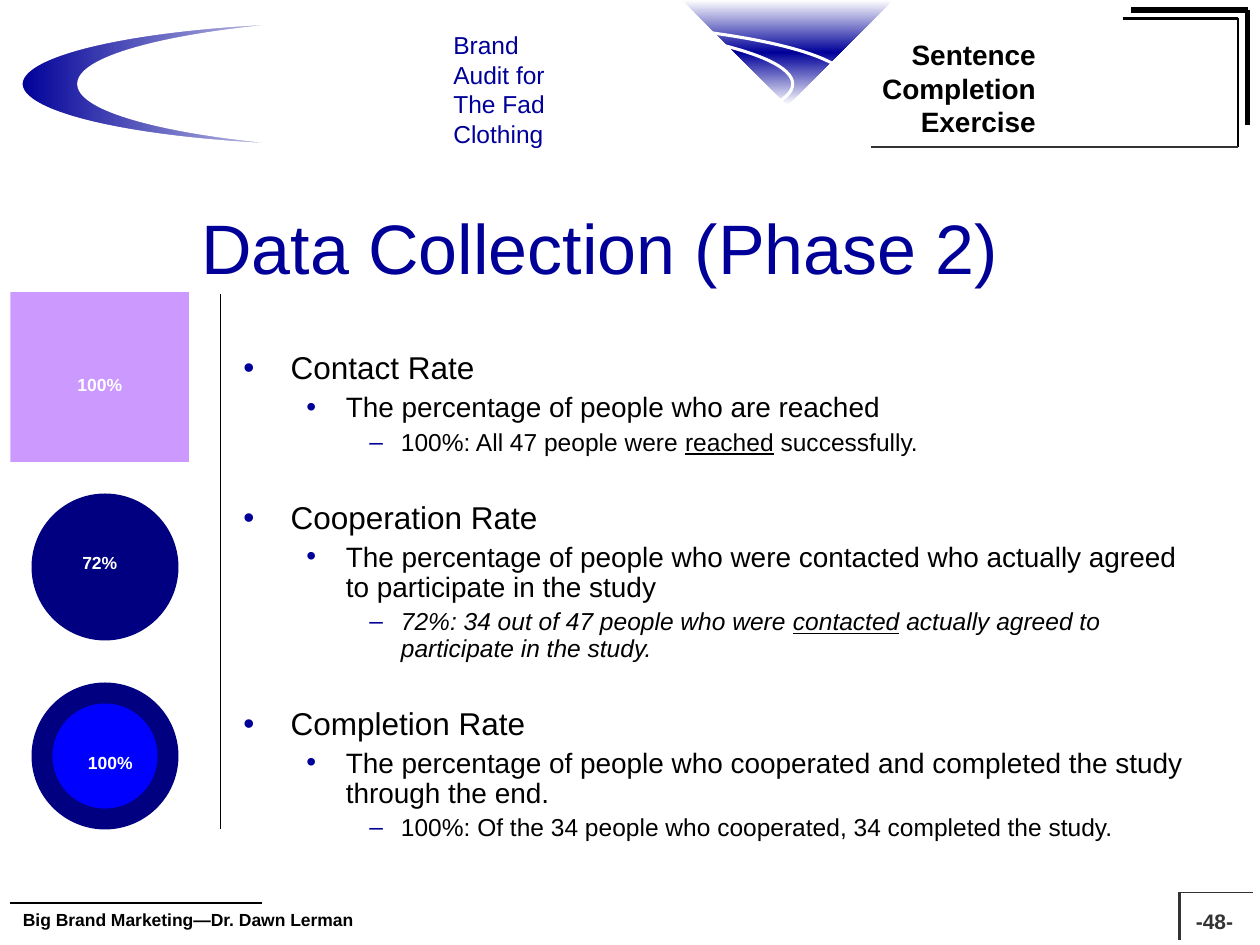
import pptx
import pptx.util
import pptx.dml.color
import pptx.enum.shapes
import pptx.enum.text
import pptx.oxml.ns
from lxml import etree

Pt = pptx.util.Pt
RGB = pptx.dml.color.RGBColor.from_string
qn = pptx.oxml.ns.qn
SHAPES = pptx.enum.shapes.MSO_SHAPE
ALIGN = pptx.enum.text.PP_ALIGN
ANCHOR = pptx.enum.text.MSO_ANCHOR

COLORS = {
    "navy": "000099", "dark": "000080", "blue": "0000FF", "violet": "CC99FF",
    "black": "000000", "gray": "333333", "white": "FFFFFF",
}

presentation = pptx.Presentation()
presentation.slide_width, presentation.slide_height = Pt(720), Pt(540)
slide = presentation.slides.add_slide(presentation.slide_layouts[6])


def add_text(box, text, size, color, bold=False, align=ALIGN.LEFT, anchor=ANCHOR.TOP):
    shape = slide.shapes.add_textbox(*map(Pt, box))
    frame = shape.text_frame
    frame.word_wrap = True
    frame.vertical_anchor = anchor
    paragraph = frame.paragraphs[0]
    paragraph.text = text
    paragraph.alignment = align
    paragraph.font.name = "Arial"
    paragraph.font.size = Pt(size)
    paragraph.font.bold = bold
    paragraph.font.color.rgb = RGB(COLORS[color])


def add_shape(kind, box, color):
    shape = slide.shapes.add_shape(kind, *map(Pt, box))
    shape.shadow.inherit = False
    shape.line.fill.background()
    shape.fill.solid()
    shape.fill.fore_color.rgb = RGB(COLORS[color])
    return shape


# Triangle in the header, fading from a blue centre to white
triangle = add_shape(SHAPES.ISOSCELES_TRIANGLE, (390, 0, 120, 60), "navy")
triangle.rotation = 180
triangle.fill.gradient()
for stop, color in zip(triangle.fill.gradient_stops, ("navy", "white")):
    stop.color.rgb = RGB(COLORS[color])
gradient = triangle._element.spPr.find(qn("a:gradFill"))
gradient.remove(gradient.find(qn("a:lin")))
path_element = etree.SubElement(gradient, qn("a:path"), path="rect")
etree.SubElement(path_element, qn("a:fillToRect"), l="50000", t="50000", r="50000", b="50000")

# Crescents: one filled, one mirrored as an outline over the triangle.
# After the start, each three points are the controls and end of one curve.
crescent_points = [
    (204, 12),
    (125, 14), (45, 29), (45, 48),
    (45, 67), (125, 82), (204, 84),
    (98, 84), (12, 68), (12, 48),
    (12, 28), (98, 12), (204, 12),
]
for mirrored in (False, True):
    points = [(Pt(498 - x if mirrored else x), Pt(y)) for x, y in crescent_points]
    builder = slide.shapes.build_freeform(*points[0])
    builder.add_line_segments(points[1:], close=True)
    crescent = builder.convert_to_shape()
    segments = list(crescent._element.iter(qn("a:lnTo")))
    for first in range(0, 12, 3):
        curve = etree.Element(qn("a:cubicBezTo"))
        segments[first].addprevious(curve)
        for segment in segments[first:first + 3]:
            curve.append(segment[0])
            segment.getparent().remove(segment)
    crescent.shadow.inherit = False
    crescent.line.color.rgb = RGB(COLORS["white"])
    crescent.line.width = Pt(1.75)
    if mirrored:
        crescent.fill.background()
    else:
        crescent.fill.gradient()
        crescent.fill.gradient_angle = 0
        for stop, color in zip(crescent.fill.gradient_stops, ("navy", "white")):
            stop.color.rgb = RGB(COLORS[color])

# Rules: header frame, footer, page number corner, divider
rules = [
    (646.5, 5.75, 713, 5.75, "black", 3),
    (713, 71.5, 713, 5.75, "black", 3),
    (641.5, 10.5, 707.5, 10.5, "black", 1.5),
    (707.5, 84, 707.5, 10.5, "black", 1.5),
    (497.5, 84, 707.5, 84, "gray", 1.25),
    (674, 510, 716, 510, "gray", 0.75),
    (674, 537, 674, 510, "gray", 1.25),
    (6, 516, 150, 516, "black", 0.75),
    (126, 168, 126, 474, "black", 0.75),
]
for x1, y1, x2, y2, color, width in rules:
    rule = slide.shapes.add_connector(
        pptx.enum.shapes.MSO_CONNECTOR.STRAIGHT, Pt(x1), Pt(y1), Pt(x2), Pt(y2))
    rule.line.color.rgb = RGB(COLORS[color])
    rule.line.width = Pt(width)
    etree.SubElement(rule._element.spPr, qn("a:effectLst"))

# Header, title and footer text
add_text((252, 18, 78, 66), "Brand Audit for \vThe Fad Clothing", 14, "navy", anchor=ANCHOR.MIDDLE)
add_text((486, 18, 113, 65), "Sentence Completion Exercise", 16, "black", True, ALIGN.RIGHT)
add_text((108, 96, 576, 90), "Data Collection (Phase 2)", 40, "navy", anchor=ANCHOR.MIDDLE)
add_text((6, 516, 222, 20), "Big Brand Marketing—Dr. Dawn Lerman", 10, "black", True)
add_text((672, 515.5, 44, 36), "-48-", 12, "gray", True, ALIGN.CENTER)

# Rate figures
add_shape(SHAPES.RECTANGLE, (6, 167, 102, 97), "violet")
add_shape(SHAPES.OVAL, (18, 282, 84, 84), "dark")
add_shape(SHAPES.OVAL, (18, 390, 84, 84), "dark")
add_shape(SHAPES.OVAL, (30, 402, 60, 60), "blue")
for box, rate in [((30, 210, 54, 20), "100%"), ((30, 312, 54, 20), "72%"),
                  ((24, 426, 78, 20), "100%")]:
    add_text(box, rate, 10, "white", True, ALIGN.CENTER)

# Rate definitions: level, text pieces (every second one underlined), italic
definitions = [
    (0, ["Contact Rate"], False),
    (1, ["The percentage of people who are reached"], False),
    (2, ["100%: All 47 people were ", "reached", " successfully."], False),
    (0, ["Cooperation Rate"], False),
    (1, ["The percentage of people who were contacted who actually agreed "
         "to participate in the study"], False),
    (2, ["72%: 34 out of 47 people who were ", "contacted",
         " actually agreed to participate in the study."], True),
    (0, ["Completion Rate"], False),
    (1, ["The percentage of people who cooperated and completed the study "
         "through the end."], False),
    (2, ["100%: Of the 34 people who cooperated, 34 completed the study."], False),
]
# Per level: left margin, hanging indent, bullet, size, space before
levels = [(27, 27, "•", 18, 26), (58.5, 22.5, "•", 16, 4), (90, 18, "–", 14, 3.5)]
frame = slide.shapes.add_textbox(Pt(132), Pt(198), Pt(552), Pt(288)).text_frame
frame.word_wrap = True
for index, (level, pieces, italic) in enumerate(definitions):
    margin, hanging, bullet, size, space = levels[level]
    paragraph = frame.add_paragraph() if index else frame.paragraphs[0]
    paragraph.level = level
    properties = paragraph._p.get_or_add_pPr()
    properties.set("marL", str(Pt(margin)))
    properties.set("indent", str(-Pt(hanging)))
    bullet_color = etree.SubElement(properties, qn("a:buClr"))
    etree.SubElement(bullet_color, qn("a:srgbClr"), val=COLORS["navy"])
    etree.SubElement(properties, qn("a:buFont"), typeface="Arial")
    etree.SubElement(properties, qn("a:buChar"), char=bullet)
    paragraph.line_spacing = 0.9
    paragraph.space_before = Pt(space if index else 0)
    paragraph.font.name = "Arial"
    paragraph.font.size = Pt(size)
    paragraph.font.italic = italic
    paragraph.font.color.rgb = RGB(COLORS["black"])
    for position, piece in enumerate(pieces):
        run = paragraph.add_run()
        run.text = piece
        if position % 2:
            run.font.underline = True

presentation.save("out.pptx")
